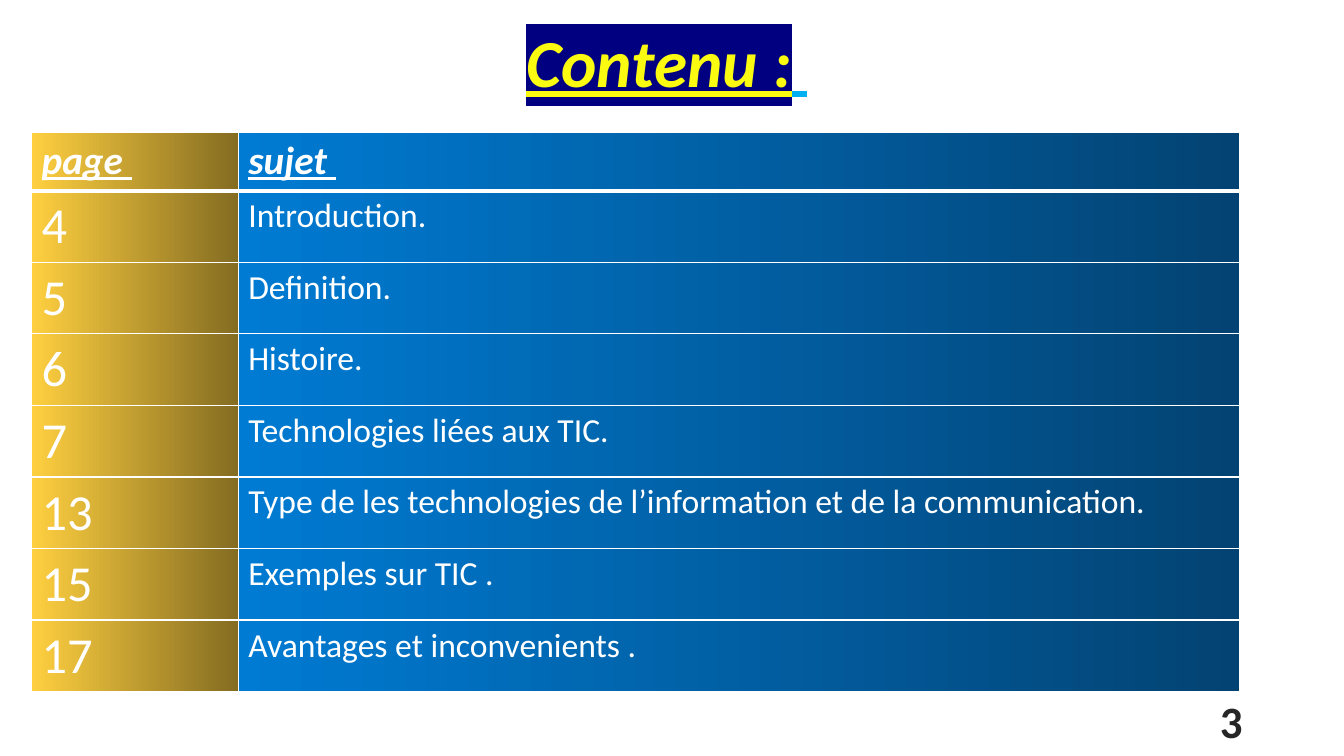
import dataclasses

import pptx
import pptx.dml.color
import pptx.enum.shapes
import pptx.enum.text
import pptx.oxml
import pptx.oxml.ns
import pptx.util


@dataclasses.dataclass(frozen=True)
class Theme:
    font: str = "Calibri"
    white: str = "FFFFFF"
    dark: str = "262626"
    cyan: str = "00B0F0"
    navy: str = "000080"
    yellow: tuple = ("FBFB11", "838309")
    gold: tuple = ("FECF40", "846C21")
    blue: tuple = ("007BD3", "034373")
    title: int = 48
    number: int = 36
    footer: int = 32
    header: int = 28
    body: int = 24
    rule: int = 1
    header_rule: int = 3


THEME = Theme()
WIDTH, HEIGHT = 13.33, 7.5
COLUMNS = (2.05, 9.93)
HEADER_ROW, BODY_ROW = 0.58, 0.71
HEADING = dict(bold=True, italic=True, underline=True)
CONTENTS = [
    ("page ", "sujet "),
    ("4", "Introduction."),
    ("5", "Definition."),
    ("6", "Histoire."),
    ("7", "Technologies liées aux TIC."),
    ("13", "Type de les technologies de l’information et de la communication."),
    ("15", "Exemples sur TIC ."),
    ("17", "Avantages et inconvenients ."),
]


def share(x, y, w, h):
    inches = (x * WIDTH, y * HEIGHT, w * WIDTH, h * HEIGHT)
    return [pptx.util.Inches(v) for v in inches]


def rgb(color):
    return pptx.dml.color.RGBColor.from_string(color)


def set_values(target, values):
    for name, value in values.items():
        setattr(target, name, value)


def paint(fill, color):
    if isinstance(color, str):
        fill.solid()
        fill.fore_color.rgb = rgb(color)
        return
    fill.gradient()
    fill.gradient_angle = 0
    for stop, value in zip(fill.gradient_stops, color):
        stop.color.rgb = rgb(value)


def add_run(p, text, size, color, **formats):
    r = p.add_run()
    r.text = text
    values = dict(name=THEME.font, size=pptx.util.Pt(size), **formats)
    set_values(r.font, values)
    paint(r.font.fill, color)
    return r


def highlight(r, color):
    mark = pptx.oxml.parse_xml(
        f'<a:highlight {pptx.oxml.ns.nsdecls("a")}>'
        f'<a:srgbClr val="{color}"/></a:highlight>'
    )
    r.font._element.find(pptx.oxml.ns.qn("a:latin")).addprevious(mark)


def set_borders(cell, widths):
    tc_pr = cell._tc.get_or_add_tcPr()
    for i, (side, width) in enumerate(widths.items()):
        line = pptx.oxml.parse_xml(
            f'<a:ln{side} {pptx.oxml.ns.nsdecls("a")} w="{pptx.util.Pt(width)}">'
            f'<a:solidFill><a:srgbClr val="{THEME.white}"/></a:solidFill></a:ln{side}>'
        )
        tc_pr.insert(i, line)


def add_title(s):
    tf = s.shapes.add_textbox(*share(0.061, 0.017, 0.87, 0.14)).text_frame
    set_values(tf, dict(word_wrap=True,
                        vertical_anchor=pptx.enum.text.MSO_ANCHOR.MIDDLE))
    p = tf.paragraphs[0]
    set_values(p, dict(alignment=pptx.enum.text.PP_ALIGN.CENTER, line_spacing=0.9))
    r = add_run(p, "Contenu :", THEME.title, THEME.yellow, **HEADING)
    highlight(r, THEME.navy)
    add_run(p, " ", THEME.title, THEME.cyan, italic=True, underline=True)


def add_page_number(s, number):
    sp = s.shapes.add_shape(pptx.enum.shapes.MSO_SHAPE.RECTANGLE,
                            *share(0.707, 0.927, 0.225, 0.053))
    sp.shadow.inherit = False
    paint(sp.fill, THEME.white)
    sp.line.fill.background()
    tf = sp.text_frame
    tf.vertical_anchor = pptx.enum.text.MSO_ANCHOR.MIDDLE
    p = tf.paragraphs[0]
    p.alignment = pptx.enum.text.PP_ALIGN.RIGHT
    add_run(p, number, THEME.footer, THEME.dark, bold=True)


def fill_cell(cell, text, row, column):
    paint(cell.fill, (THEME.gold, THEME.blue)[column])
    top = THEME.header_rule if row == 1 else THEME.rule
    bottom = THEME.header_rule if row == 0 else THEME.rule
    set_borders(cell, dict(L=THEME.rule, R=THEME.rule, T=top, B=bottom))
    p = cell.text_frame.paragraphs[0]
    if row == 0:
        add_run(p, text, THEME.header, THEME.white, **HEADING)
    else:
        size = (THEME.number, THEME.body)[column]
        add_run(p, text, size, THEME.white, bold=False)


def add_contents(s):
    frame = s.shapes.add_table(len(CONTENTS), len(COLUMNS),
                               *share(0.0235, 0.175, 0.899, 0.743))
    table = frame.table
    for column, width in zip(table.columns, COLUMNS):
        column.width = pptx.util.Inches(width)
    for i, texts in enumerate(CONTENTS):
        table.rows[i].height = pptx.util.Inches(BODY_ROW if i else HEADER_ROW)
        for j, text in enumerate(texts):
            fill_cell(table.cell(i, j), text, i, j)


def main():
    prs = pptx.Presentation()
    set_values(prs, dict(slide_width=pptx.util.Inches(WIDTH),
                         slide_height=pptx.util.Inches(HEIGHT)))
    s = prs.slides.add_slide(prs.slide_layouts[6])
    add_page_number(s, "3")
    add_title(s)
    add_contents(s)
    prs.save("out.pptx")


if __name__ == "__main__":
    main()
